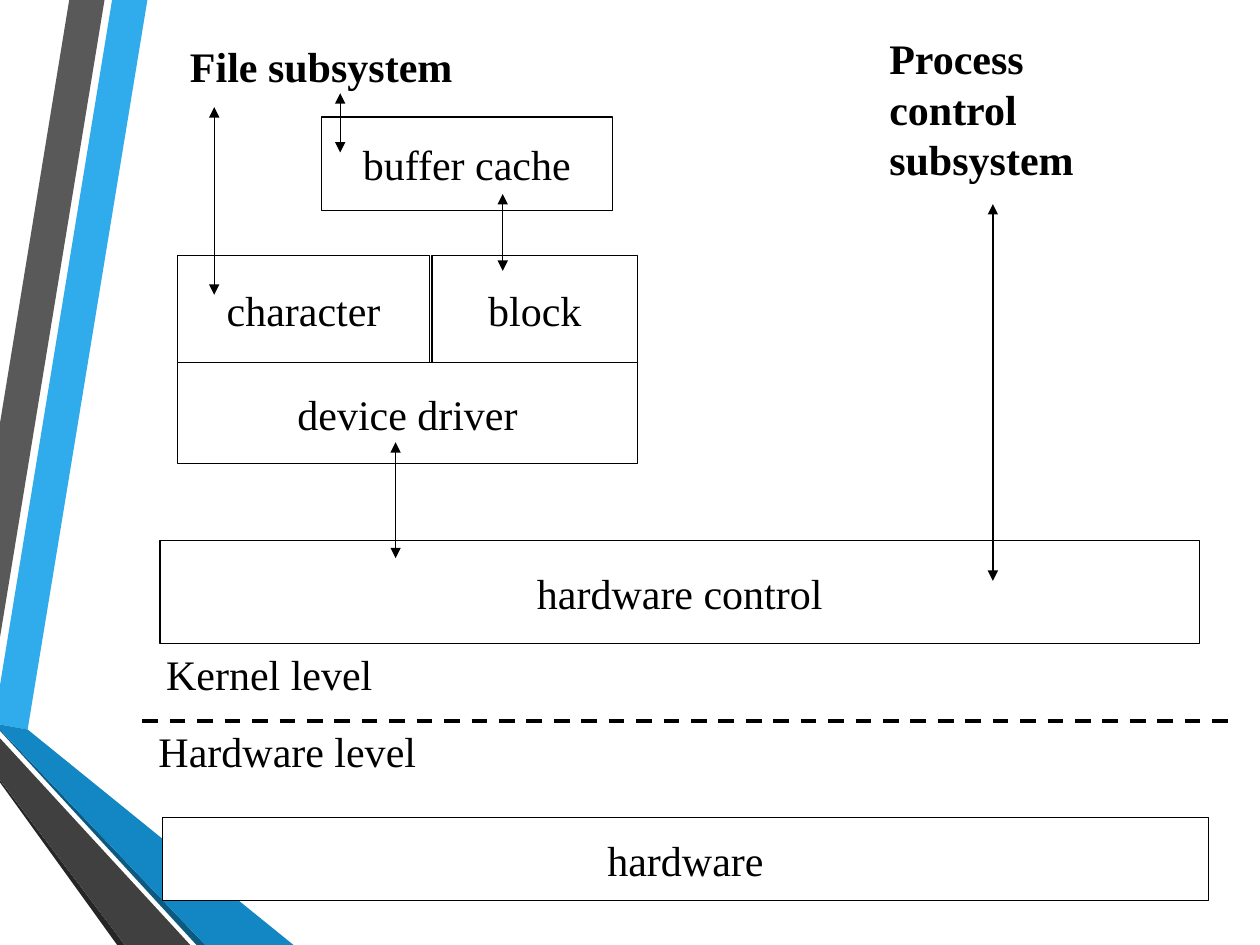
from dataclasses import dataclass

from lxml.etree import SubElement
from pptx import Presentation
from pptx.dml.color import RGBColor
from pptx.enum.dml import MSO_LINE
from pptx.enum.shapes import MSO_CONNECTOR, MSO_SHAPE
from pptx.enum.text import MSO_ANCHOR, PP_ALIGN
from pptx.oxml.ns import qn
from pptx.util import Emu, Inches, Pt


@dataclass(frozen=True)
class Theme:
    """Colours, type and line sizes of the slide."""

    font: str = "Times New Roman"
    text_size: Pt = Pt(24)
    thin: Pt = Pt(0.75)
    thick: Pt = Pt(2.25)
    ink: RGBColor = RGBColor(0, 0, 0)
    paper: RGBColor = RGBColor(255, 255, 255)
    sky: str = "30ACEC"
    blue: str = "1287C3"
    deep_blue: str = "0C5A82"
    grey: str = "595959"
    dark_grey: str = "404040"
    near_black: str = "262626"


THEME = Theme()
COLUMNS, ROWS = 100, 75
CELL = Inches(0.1)

RIBBONS = [
    (THEME.sky, [(0, 54.4), (0, 57.5), (2.2, 57.9), (11.7, 0), (8.9, 0)]),
    (THEME.grey, [(8.3, 0), (5.5, 0), (0, 33.6), (0, 50.6)]),
    (THEME.near_black, [(0, 61.9), (0, 62.1), (9.3, ROWS), (9.9, ROWS)]),
    (THEME.deep_blue, [(0, 57.9), (0, 58), (15.6, ROWS), (16.3, ROWS)]),
    (THEME.blue, [(0, 57.9), (16.3, ROWS), (23.3, ROWS), (2.2, 57.9), (0, 57.5)]),
    (THEME.dark_grey, [(0, 61.9), (9.9, ROWS), (15.1, ROWS), (0, 58.6)]),
]
BLOCKS = [
    ("buffer cache", 25.5, 9.3, 23.1, 7.4),
    ("character", 14.1, 20.3, 20, 8.5),
    ("block", 34.3, 20.3, 16.3, 8.5),
    ("device driver", 14.1, 28.8, 36.5, 8),
    ("hardware control", 12.7, 42.9, 82.5, 8.2),
    ("hardware", 12.9, 64.9, 83, 6.6),
]
LABELS = [
    ("Kernel level", 12.2, 51, 20, 5, False),
    ("Hardware level", 11.6, 57.1, 25, 5, False),
    ("Process\ncontrol\nsubsystem", 69.6, 2.1, 18.7, 13, True),
    ("File subsystem", 14.1, 2.7, 25, 5, True),
]
ARROWS = [
    (31.4, 35.1, 44.3),
    (39.9, 15.4, 21.5),
    (17, 8.5, 23.4),
    (78.8, 16.2, 46.1),
    (27, 7.4, 12.1),
]


def grid(*cells):
    """Turn grid cells into slide lengths."""
    return [Emu(round(cell * CELL)) for cell in cells]


def add_ribbon(page, colour, corners):
    """Draw one filled band of the side decoration."""
    points = [grid(*corner) for corner in corners]
    builder = page.shapes.build_freeform(*points[0])
    builder.add_line_segments(points[1:], close=True)
    ribbon = builder.convert_to_shape()
    ribbon.shadow.inherit = False
    ribbon.fill.solid()
    ribbon.fill.fore_color.rgb = RGBColor.from_string(colour)
    ribbon.line.fill.background()


def write_text(box, text, align, bold=False):
    """Put text in a box in the theme's type."""
    frame = box.text_frame
    frame.text = text
    frame.word_wrap = True
    for paragraph in frame.paragraphs:
        paragraph.alignment = align
        for span in paragraph.runs:
            span.font.name = THEME.font
            span.font.size = THEME.text_size
            span.font.bold = bold
            span.font.color.rgb = THEME.ink


def add_block(page, text, *place):
    """Draw an outlined block with centred text."""
    box = page.shapes.add_shape(MSO_SHAPE.RECTANGLE, *grid(*place))
    box.shadow.inherit = False
    box.fill.solid()
    box.fill.fore_color.rgb = THEME.paper
    box.line.color.rgb = THEME.ink
    box.line.width = THEME.thin
    box.text_frame.vertical_anchor = MSO_ANCHOR.MIDDLE
    write_text(box, text, PP_ALIGN.CENTER)


def add_label(page, text, left, top, width, height, bold):
    """Place free text on the page."""
    box = page.shapes.add_textbox(*grid(left, top, width, height))
    write_text(box, text, PP_ALIGN.LEFT, bold)


def add_line(page, start, end, width):
    """Draw a straight line without shadow."""
    line = page.shapes.add_connector(MSO_CONNECTOR.STRAIGHT, *grid(*start, *end))
    line.line.color.rgb = THEME.ink
    line.line.width = width
    SubElement(line._element.spPr, qn("a:effectLst"))
    return line


def add_arrow(page, column, top, bottom):
    """Draw a vertical arrow with a head at each end."""
    arrow = add_line(page, (column, top), (column, bottom), THEME.thin)
    outline = arrow.line._get_or_add_ln()
    for end in ("a:headEnd", "a:tailEnd"):
        SubElement(outline, qn(end), type="triangle")


def main():
    """Build the slide and save the deck."""
    deck = Presentation()
    deck.slide_width, deck.slide_height = grid(COLUMNS, ROWS)
    page = deck.slides.add_slide(deck.slide_layouts[6])
    for ribbon in RIBBONS:
        add_ribbon(page, *ribbon)
    for block in BLOCKS:
        add_block(page, *block)
    border = add_line(page, (11.3, 57.2), (97.8, 57.2), THEME.thick)
    border.line.dash_style = MSO_LINE.DASH
    for label in LABELS:
        add_label(page, *label)
    for arrow in ARROWS:
        add_arrow(page, *arrow)
    deck.save("out.pptx")


if __name__ == "__main__":
    main()
